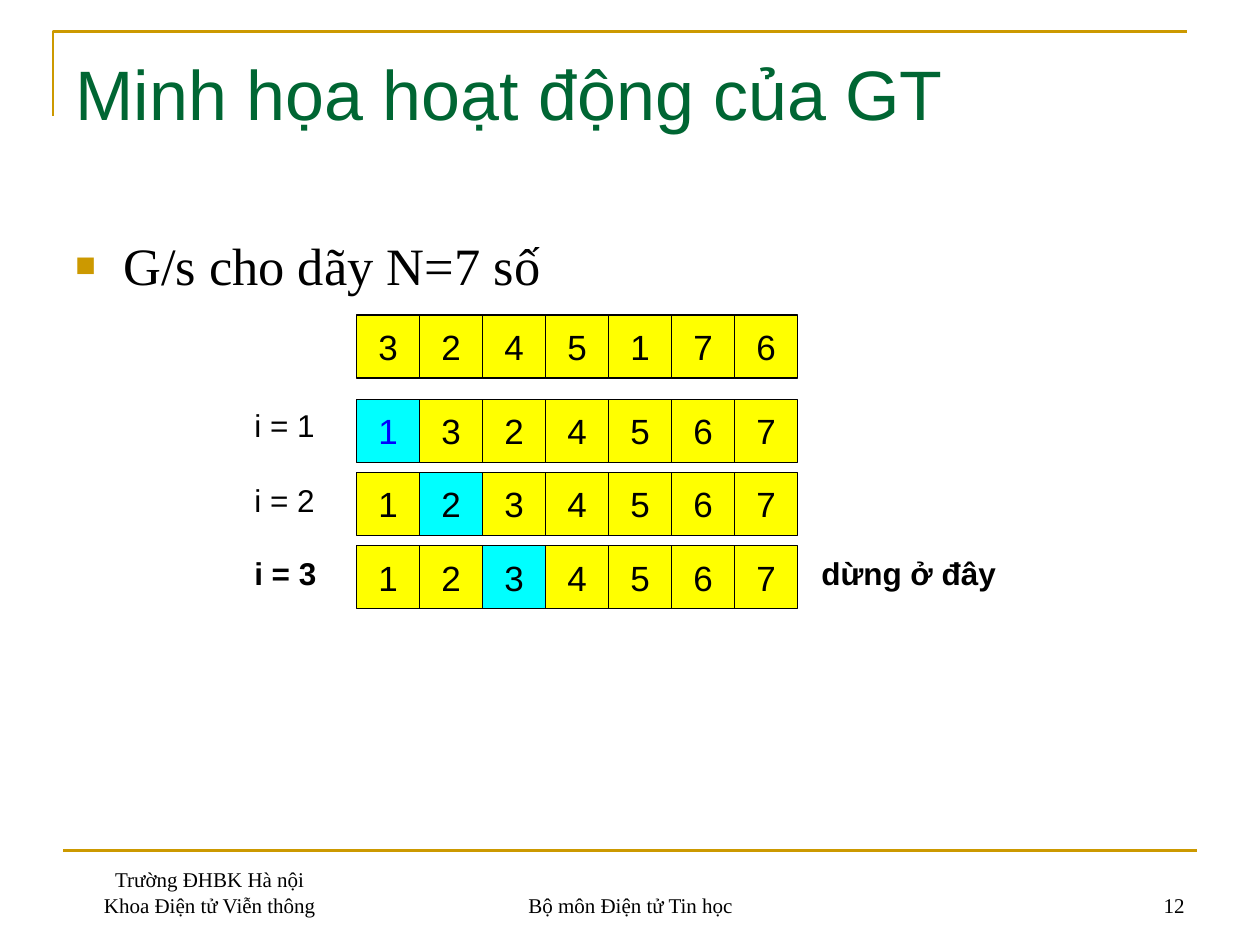
from dataclasses import dataclass

import lxml.etree
import pptx
import pptx.dml.color
import pptx.enum.shapes
import pptx.enum.text
import pptx.oxml.ns
import pptx.util

Inches = pptx.util.Inches
Pt = pptx.util.Pt
Align = pptx.enum.text.PP_ALIGN
Anchor = pptx.enum.text.MSO_ANCHOR

GOLD = "CC9900"
GREEN = "006633"
BLACK = "000000"
YELLOW = "FFFF00"
CYAN = "00FFFF"
BLUE = "0000FF"
SANS = "Arial"
SERIF = "Times New Roman"
CELL_SIZE = 0.5
ROW_LEFT = 2.83


@dataclass
class Caption:
    text: str
    left: float
    top: float
    width: float
    height: float = 0.4
    size: float = 18
    font: str = SANS
    bold: bool = False
    align: Align = Align.LEFT
    anchor: Anchor = Anchor.TOP
    space_before: float = 0


@dataclass
class NumberRow:
    values: str
    top: float
    placed: int | None = None
    placed_color: str = BLACK


CAPTIONS = [
    Caption("Trường ĐHBK Hà nội\nKhoa Điện tử Viễn thông", 0.5, 6.83, 2.33, 0.5,
            12, SERIF, align=Align.CENTER, anchor=Anchor.BOTTOM),
    Caption("Bộ môn Điện tử Tin học", 3.42, 6.83, 3.17, 0.5,
            12, SERIF, align=Align.CENTER, anchor=Anchor.BOTTOM),
    Caption("12", 7.17, 6.83, 2.33, 0.5,
            12, SERIF, align=Align.RIGHT, anchor=Anchor.BOTTOM),
    Caption("i = 1", 1.92, 3.17, 0.83, space_before=11.2),
    Caption("i = 2", 1.92, 3.77, 0.83, space_before=11.2),
    Caption("i = 3", 1.92, 4.35, 0.83, bold=True, space_before=11.2),
    Caption("dừng ở đây", 6.42, 4.35, 1.92, bold=True, space_before=11.2),
]

NUMBER_ROWS = [
    NumberRow("3245176", 2.5),
    NumberRow("1324567", 3.17, 0, BLUE),
    NumberRow("1234567", 3.75, 1),
    NumberRow("1234567", 4.33, 2),
]


def rgb(color: str) -> pptx.dml.color.RGBColor:
    return pptx.dml.color.RGBColor.from_string(color)


def format_text(frame, size: float, font: str, color: str = BLACK,
                align: Align = Align.LEFT, bold: bool = False,
                space_before: float = 0) -> None:
    for para in frame.paragraphs:
        para.alignment = align
        para.space_before = Pt(space_before)
        for span in para.runs:
            span.font.size = Pt(size)
            span.font.name = font
            span.font.bold = bold
            span.font.color.rgb = rgb(color)


def add_caption(page, caption: Caption):
    box = page.shapes.add_textbox(Inches(caption.left), Inches(caption.top),
                                  Inches(caption.width), Inches(caption.height))
    frame = box.text_frame
    frame.word_wrap = True
    frame.vertical_anchor = caption.anchor
    frame.text = caption.text
    format_text(frame, caption.size, caption.font, BLACK, caption.align,
                caption.bold, caption.space_before)
    return box


def add_number_row(page, row: NumberRow) -> None:
    for index, value in enumerate(row.values):
        placed = index == row.placed
        cell = page.shapes.add_shape(
            pptx.enum.shapes.MSO_SHAPE.RECTANGLE,
            Inches(ROW_LEFT + index * CELL_SIZE), Inches(row.top),
            Inches(CELL_SIZE), Inches(CELL_SIZE))
        cell.shadow.inherit = False
        cell.fill.solid()
        cell.fill.fore_color.rgb = rgb(CYAN if placed else YELLOW)
        cell.line.color.rgb = rgb(BLACK)
        cell.line.width = Pt(0.75)
        frame = cell.text_frame
        frame.word_wrap = False
        frame.vertical_anchor = Anchor.MIDDLE
        frame.text = value
        format_text(frame, 20, SANS, row.placed_color if placed else BLACK,
                    Align.CENTER)


def add_frame_lines(page) -> None:
    builder = page.shapes.build_freeform(Inches(0.42), Inches(0.92))
    builder.add_line_segments([(Inches(0.42), Inches(0.25)),
                               (Inches(9.42), Inches(0.25))], close=False)
    corner = builder.convert_to_shape()
    corner.shadow.inherit = False
    corner.fill.background()
    footer_line = page.shapes.add_connector(
        pptx.enum.shapes.MSO_CONNECTOR.STRAIGHT,
        Inches(0.5), Inches(6.75), Inches(9.5), Inches(6.75))
    lines = [corner, footer_line]
    for shape in lines:
        shape.line.color.rgb = rgb(GOLD)
        shape.line.width = Pt(1.5)
    properties = footer_line.element.spPr
    lxml.etree.SubElement(properties, pptx.oxml.ns.qn("a:effectLst"))


def set_title(page) -> None:
    title = page.shapes.title
    title.left, title.top = Inches(0.5), Inches(0.3)
    title.width, title.height = Inches(9), Inches(1.25)
    frame = title.text_frame
    frame.text = "Minh họa hoạt động của GT"
    frame.word_wrap = True
    frame.auto_size = pptx.enum.text.MSO_AUTO_SIZE.NONE
    frame.vertical_anchor = Anchor.TOP
    frame.margin_top = Inches(0.1)
    format_text(frame, 40, SANS, GREEN)


def add_bullet(para, color: str, percent: int) -> None:
    properties = para._p.get_or_add_pPr()
    properties.set("marL", str(Inches(0.38)))
    properties.set("indent", str(-Inches(0.38)))
    qn = pptx.oxml.ns.qn
    bullet_color = lxml.etree.SubElement(properties, qn("a:buClr"))
    lxml.etree.SubElement(bullet_color, qn("a:srgbClr"), val=color)
    lxml.etree.SubElement(properties, qn("a:buSzPct"), val=str(percent * 1000))
    lxml.etree.SubElement(properties, qn("a:buFont"), typeface=SANS)
    lxml.etree.SubElement(properties, qn("a:buChar"), char="■")


def main() -> None:
    deck = pptx.Presentation()
    deck.slide_width = Inches(10)
    deck.slide_height = Inches(7.5)
    page = deck.slides.add_slide(deck.slide_layouts[5])
    set_title(page)
    add_frame_lines(page)
    body = add_caption(page, Caption("G/s cho dãy N=7 số", 0.5, 1.75, 9, 4.95,
                                     30, SERIF, space_before=7.5))
    body.text_frame.margin_top = Inches(0.1)
    add_bullet(body.text_frame.paragraphs[0], GOLD, 65)
    for row in NUMBER_ROWS:
        add_number_row(page, row)
    for caption in CAPTIONS:
        add_caption(page, caption)
    deck.save("out.pptx")


if __name__ == "__main__":
    main()
